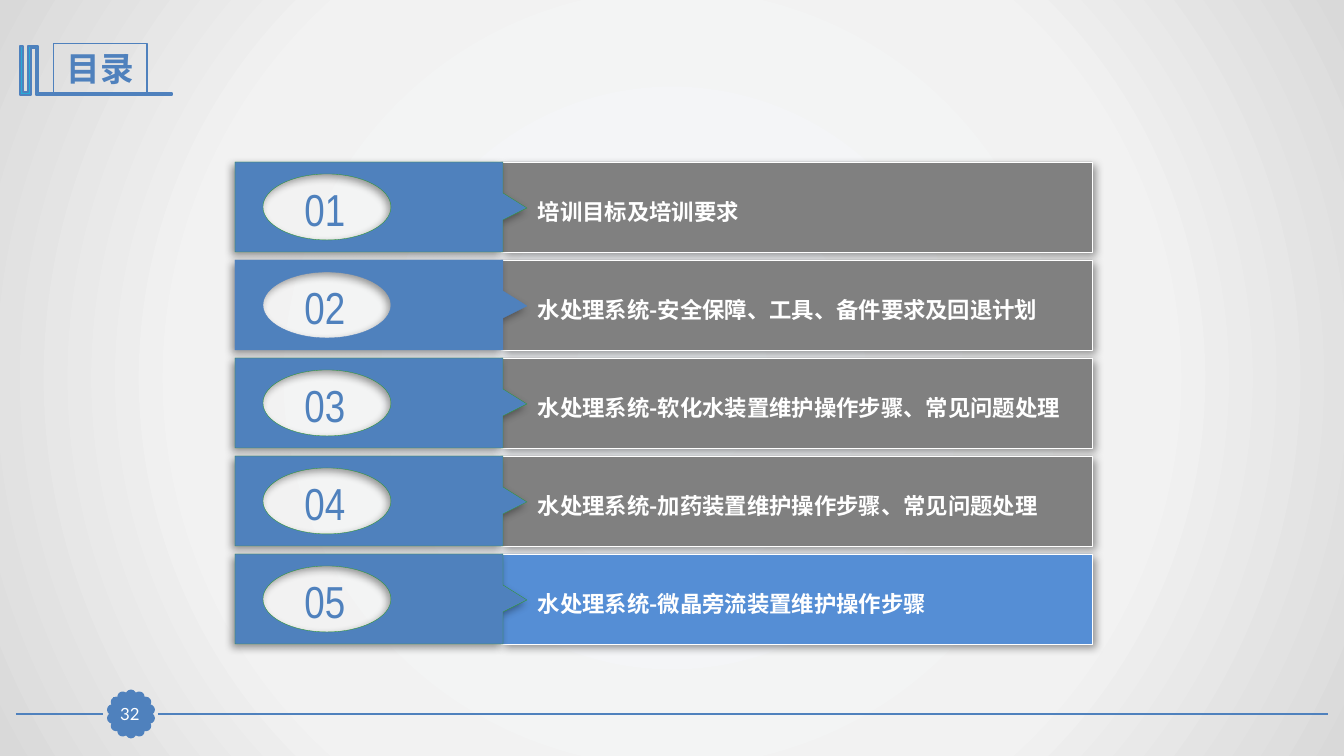
from math import cos, pi, sin

from lxml import etree
from pptx import Presentation
from pptx.dml.color import RGBColor
from pptx.enum.shapes import MSO_CONNECTOR as LINK, MSO_SHAPE as SHAPE
from pptx.enum.text import MSO_ANCHOR as ANCHOR, MSO_AUTO_SIZE as FIT, PP_ALIGN as ALIGN
from pptx.oxml import parse_xml
from pptx.oxml.ns import nsdecls, qn
from pptx.util import Pt

WIDE, HIGH = 1344, 756
SCALE = 12192000 / WIDE

BLUE = RGBColor(0x4F, 0x81, 0xBD)
SKY = RGBColor(0x55, 0x8E, 0xD5)
CYAN = RGBColor(0x28, 0xA9, 0xD6)
GRAY = RGBColor(0x80, 0x80, 0x80)
GREEN = RGBColor(0x33, 0x99, 0x33)
WHITE = RGBColor(0xFF, 0xFF, 0xFF)

SLIM, BODY, HAN = "Arial Narrow", "Lato", "Noto Sans CJK SC"

TOP, STEP, ROW = 162, 98, 90
WATER = "水处理系统-"
# Number, bar colour, tag outline, label runs
ROWS = [
    ("01", GRAY, GREEN, [("培训目标及培训要求", BODY)]),
    ("02", GRAY, BLUE, [(WATER, HAN), ("安全保障、工具、备件要求及回退计划", BODY)]),
    ("03", GRAY, GREEN, [(WATER + "软化水装置", HAN), ("维护操作步骤、常见问题处理", BODY)]),
    ("04", GRAY, GREEN, [(WATER + "加药装置", HAN), ("维护操作步骤、常见问题处理", BODY)]),
    ("05", SKY, GREEN, [(WATER + "微晶旁流装置", HAN), ("维护操作步骤", BODY)]),
]
BOOK = [(37, 46), (38, 46), (38, 93), (172, 93), (172, 95), (36, 95), (36, 48),
        (31, 48), (31, 95), (20, 95), (20, 46), (23, 46), (23, 92), (28, 92), (28, 46)]


def emu(px):
    return round(px * SCALE)


def place(*box):
    return [emu(px) for px in box]


def paint(shape, fill, line, width):
    shape.shadow.inherit = False
    shape.fill.solid()
    shape.fill.fore_color.rgb = fill
    shape.line.color.rgb = line
    shape.line.width = Pt(width)


def cast(shape, angle):
    """Give the shape a soft black shadow towards the angle in degrees."""
    glow = shape._element.spPr.find(qn("a:effectLst"))
    glow.append(parse_xml(
        f'<a:outerShdw {nsdecls("a")} blurRad="{Pt(6)}" dist="{Pt(3)}" '
        f'dir="{angle * 60000}" algn="ctr" rotWithShape="0">'
        '<a:srgbClr val="000000"><a:alpha val="40000"/></a:srgbClr></a:outerShdw>'))


def write(shape, runs, size, color, bold=False, align=ALIGN.LEFT, anchor=ANCHOR.MIDDLE):
    frame = shape.text_frame
    frame.word_wrap = True
    frame.auto_size = FIT.NONE
    frame.vertical_anchor = anchor
    para = frame.paragraphs[0]
    para.alignment = align
    for text, face in runs:
        run = para.add_run()
        run.text = text
        font = run.font
        font.name, font.size, font.bold = face, Pt(size), bold
        font.color.rgb = color
        east = etree.Element(qn("a:ea"), typeface=HAN)
        font._element.find(qn("a:latin")).addnext(east)


def draw_line(shapes, start, end, y, color, width):
    line = shapes.add_connector(LINK.STRAIGHT, *place(start, y, end, y))
    line.line.color.rgb = color
    line.line.width = Pt(width)
    etree.SubElement(line._element.spPr, qn("a:effectLst"))


def draw_free(shapes, *loops):
    """Build one closed outline out of one or more loops of px points."""
    first, *rest = [[place(*spot) for spot in loop] for loop in loops]
    pen = shapes.build_freeform(*first[0])
    pen.add_line_segments(first[1:])
    for loop in rest:
        pen.move_to(*loop[0])
        pen.add_line_segments(loop[1:])
    return pen.convert_to_shape()


def curve(shape, count):
    """Turn the first lines of an outline, three by three, into curves."""
    lines = list(shape._element.iter(qn("a:lnTo")))[:3 * count]
    for i in range(0, len(lines), 3):
        bend = etree.Element(qn("a:cubicBezTo"))
        lines[i].addprevious(bend)
        for line in lines[i:i + 3]:
            bend.append(line[0])
            line.getparent().remove(line)


def oval(x, y, wide, high):
    """List the start and the control points of four curves."""
    k = 0.55
    spots = [(0, -1), (-k, -1), (-1, -k), (-1, 0), (-1, k), (-k, 1), (0, 1),
             (k, 1), (1, k), (1, 0), (1, -k), (k, -1), (0, -1)]
    return [(x + wide * a, y + high * b) for a, b in spots]


def draw_row(shapes, top, num, color, edge, label):
    group = shapes.add_group_shape().shapes
    bar = group.add_shape(SHAPE.RECTANGLE, *place(501, top, 591, ROW))
    paint(bar, color, WHITE, 0.25)
    cast(bar, 45)

    outline = [(235, top), (503, top), (503, top + 31), (527, top + 46),
               (503, top + 58), (503, top + ROW), (235, top + ROW)]
    tag = draw_free(group, oval(327, top + 45, 64, 33), outline)
    curve(tag, 4)
    paint(tag, BLUE, edge, 0.25)
    cast(tag, 135)

    digit = group.add_textbox(*place(274, top + 14, 102, 65))
    write(digit, [(num, SLIM)], 32, BLUE, align=ALIGN.CENTER)
    text = group.add_textbox(*place(528, top + 31, 565, 37))
    write(text, label, 16, WHITE, bold=True, anchor=ANCHOR.TOP)


def draw_badge(shapes, num):
    group = shapes.add_group_shape().shapes
    for i in range(14):
        turn = 2 * pi * i / 14
        x, y = 131 + 19 * sin(turn), 714 - 19 * cos(turn)
        dot = group.add_shape(SHAPE.OVAL, *place(x - 4, y - 4, 8, 8))
        paint(dot, BLUE, BLUE, 2)
    core = shapes.add_shape(SHAPE.RECTANGLE, *place(114, 698, 32, 32))
    paint(core, BLUE, BLUE, 0.75)
    frame = core.text_frame
    frame.margin_left = frame.margin_right = frame.margin_top = frame.margin_bottom = 0
    write(core, [(num, BODY)], 12, WHITE, align=ALIGN.CENTER)


def draw_title(shapes, text):
    paint(draw_free(shapes, BOOK), CYAN, BLUE, 2)
    title = shapes.title
    title.left, title.top, title.width, title.height = place(53, 43, 94, 51)
    title.line.color.rgb = BLUE
    title.line.width = Pt(0.75)
    write(title, [(text, SLIM)], 24, BLUE, bold=True, align=ALIGN.CENTER)


def set_back(slide):
    stops = [(0, "F6F9FC"), (63, "F2F2F2"), (100, "D9D9D9")]
    marks = "".join(f'<a:gs pos="{pos * 1000}"><a:srgbClr val="{color}"/></a:gs>'
                    for pos, color in stops)
    back = parse_xml(
        f'<p:bg {nsdecls("p", "a")}><p:bgPr><a:gradFill rotWithShape="1">'
        f'<a:gsLst>{marks}</a:gsLst><a:path path="circle">'
        '<a:fillToRect l="50000" t="50000" r="50000" b="50000"/></a:path>'
        '</a:gradFill><a:effectLst/></p:bgPr></p:bg>')
    slide.element.find(qn("p:cSld")).insert(0, back)


def main():
    deck = Presentation()
    deck.slide_width, deck.slide_height = place(WIDE, HIGH)
    slide = deck.slides.add_slide(deck.slide_layouts[5])
    shapes = slide.shapes
    set_back(slide)
    draw_title(shapes, "目录")
    draw_line(shapes, 16, 103, 714, BLUE, 1.25)
    draw_line(shapes, 158, 1328, 714, BLUE, 1.25)
    draw_badge(shapes, "32")
    draw_line(shapes, 537, 743, 252, WHITE, 1.5)
    for i, row in enumerate(ROWS):
        draw_row(shapes, TOP + i * STEP, *row)
    deck.save("out.pptx")


if __name__ == "__main__":
    main()
